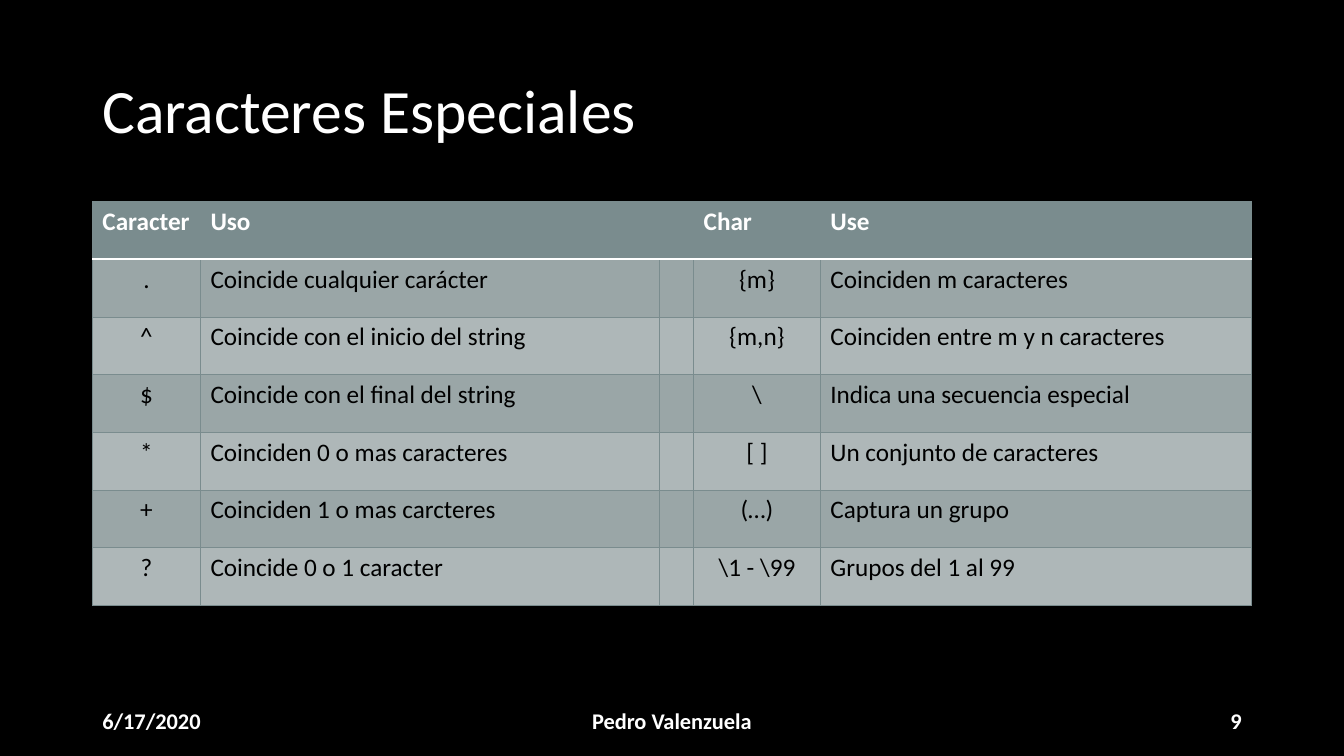
from dataclasses import dataclass

from lxml import etree
from pptx import Presentation
from pptx.dml.color import RGBColor
from pptx.enum.shapes import MSO_SHAPE
from pptx.enum.text import MSO_ANCHOR, PP_ALIGN
from pptx.oxml.ns import qn
from pptx.slide import Slide
from pptx.table import _Cell
from pptx.text.text import _Paragraph
from pptx.util import Pt

LEFT, CENTER, RIGHT = PP_ALIGN.LEFT, PP_ALIGN.CENTER, PP_ALIGN.RIGHT
MIDDLE = MSO_ANCHOR.MIDDLE
RECTANGLE = MSO_SHAPE.RECTANGLE

BLACK = RGBColor(0x00, 0x00, 0x00)
WHITE = RGBColor(0xFF, 0xFF, 0xFF)
SLATE = RGBColor(0x7A, 0x8C, 0x8E)
DARK_BAND = RGBColor(0x9A, 0xA6, 0xA7)
LIGHT_BAND = RGBColor(0xAE, 0xB7, 0xB8)

FONT = "Calibri"
MARGIN = 66
CONTENT_WIDTH = 828
FOOTER_TOP, FOOTER_HEIGHT = 500.4, 28.8
TABLE_TOP, ROW_HEIGHT = 144, 41.2
COLUMN_WIDTHS = (77.2, 327.8, 24.5, 90.5, 308)
SYMBOL_COLUMNS = (0, 3)

ROWS = (
    ("Caracter", "Uso", "", "Char", "Use"),
    (".", "Coincide cualquier carácter", "", "{m}", "Coinciden m caracteres"),
    ("^", "Coincide con el inicio del string", "", "{m,n}", "Coinciden entre m y n caracteres"),
    ("$", "Coincide con el final del string", "", "\\", "Indica una secuencia especial"),
    ("*", "Coinciden 0 o mas caracteres", "", "[ ]", "Un conjunto de caracteres"),
    ("+", "Coinciden 1 o mas carcteres", "", "(…)", "Captura un grupo"),
    ("?", "Coincide 0 o 1 caracter", "", "\\1 - \\99", "Grupos del 1 al 99"),
)


@dataclass(frozen=True)
class Label:
    text: str
    left: float
    top: float
    width: float
    height: float
    size: float = 16
    bold: bool = True
    align: PP_ALIGN = LEFT
    line_spacing: float = 1.0
    opacity: int = 34


LABELS = (
    Label("Caracteres Especiales", MARGIN, 28.8, CONTENT_WIDTH, 104.4,
          size=44, bold=False, line_spacing=0.9, opacity=16),
    Label("6/17/2020", MARGIN, FOOTER_TOP, 216, FOOTER_HEIGHT),
    Label("Pedro Valenzuela", 318, FOOTER_TOP, 324, FOOTER_HEIGHT, align=CENTER),
    Label("9", 678, FOOTER_TOP, 216, FOOTER_HEIGHT, align=RIGHT),
)


def format_paragraph(para: _Paragraph, size: float, bold: bool,
                     color: RGBColor, align: PP_ALIGN) -> None:
    para.alignment = align
    for span in para.runs:
        span.font.name = FONT
        span.font.size = Pt(size)
        span.font.bold = bold
        span.font.color.rgb = color


def add_label(page: Slide, label: Label) -> None:
    box = page.shapes.add_shape(RECTANGLE, Pt(label.left), Pt(label.top),
                                Pt(label.width), Pt(label.height))
    box.shadow.inherit = False
    box.line.fill.background()
    box.fill.solid()
    box.fill.fore_color.rgb = BLACK
    color = box._element.spPr.find(qn("a:solidFill")).find(qn("a:srgbClr"))
    etree.SubElement(color, qn("a:alpha"), val=str(label.opacity * 1000))
    frame = box.text_frame
    frame.word_wrap = True
    frame.vertical_anchor = MIDDLE
    frame.text = label.text
    para = frame.paragraphs[0]
    para.line_spacing = label.line_spacing
    format_paragraph(para, label.size, label.bold, WHITE, label.align)


def add_border(cell: _Cell, side: str, color: RGBColor, width: float) -> None:
    """Border one side (L, R, T or B); call in that order and before filling."""
    line = etree.SubElement(cell._tc.get_or_add_tcPr(), qn(f"a:ln{side}"), w=str(Pt(width)))
    fill = etree.SubElement(line, qn("a:solidFill"))
    etree.SubElement(fill, qn("a:srgbClr"), val=str(color))


def band_color(row: int) -> RGBColor:
    if row == 0:
        return SLATE
    return DARK_BAND if row % 2 else LIGHT_BAND


def fill_cell(cell: _Cell, text: str, row: int, column: int) -> None:
    header = row == 0
    for side in "LRTB":
        under_header = (row, side) in ((0, "B"), (1, "T"))
        add_border(cell, side, *((WHITE, 1.5) if under_header else (SLATE, 0.5)))
    cell.fill.solid()
    cell.fill.fore_color.rgb = band_color(row)
    cell.text = text
    centered = column in SYMBOL_COLUMNS and not header
    format_paragraph(cell.text_frame.paragraphs[0], 18, header,
                     WHITE if header else BLACK, CENTER if centered else LEFT)


def add_character_table(page: Slide) -> None:
    table = page.shapes.add_table(len(ROWS), len(COLUMN_WIDTHS), Pt(MARGIN), Pt(TABLE_TOP),
                                  Pt(CONTENT_WIDTH), Pt(ROW_HEIGHT * len(ROWS))).table
    for column, width in zip(table.columns, COLUMN_WIDTHS):
        column.width = Pt(width)
    for row, texts in enumerate(ROWS):
        table.rows[row].height = Pt(ROW_HEIGHT)
        for column, text in enumerate(texts):
            fill_cell(table.cell(row, column), text, row, column)


def main() -> None:
    deck = Presentation()
    deck.slide_width, deck.slide_height = Pt(960), Pt(540)
    page = deck.slides.add_slide(deck.slide_layouts[6])
    page.background.fill.solid()
    page.background.fill.fore_color.rgb = BLACK
    for label in LABELS:
        add_label(page, label)
    add_character_table(page)
    deck.save("out.pptx")


if __name__ == "__main__":
    main()
